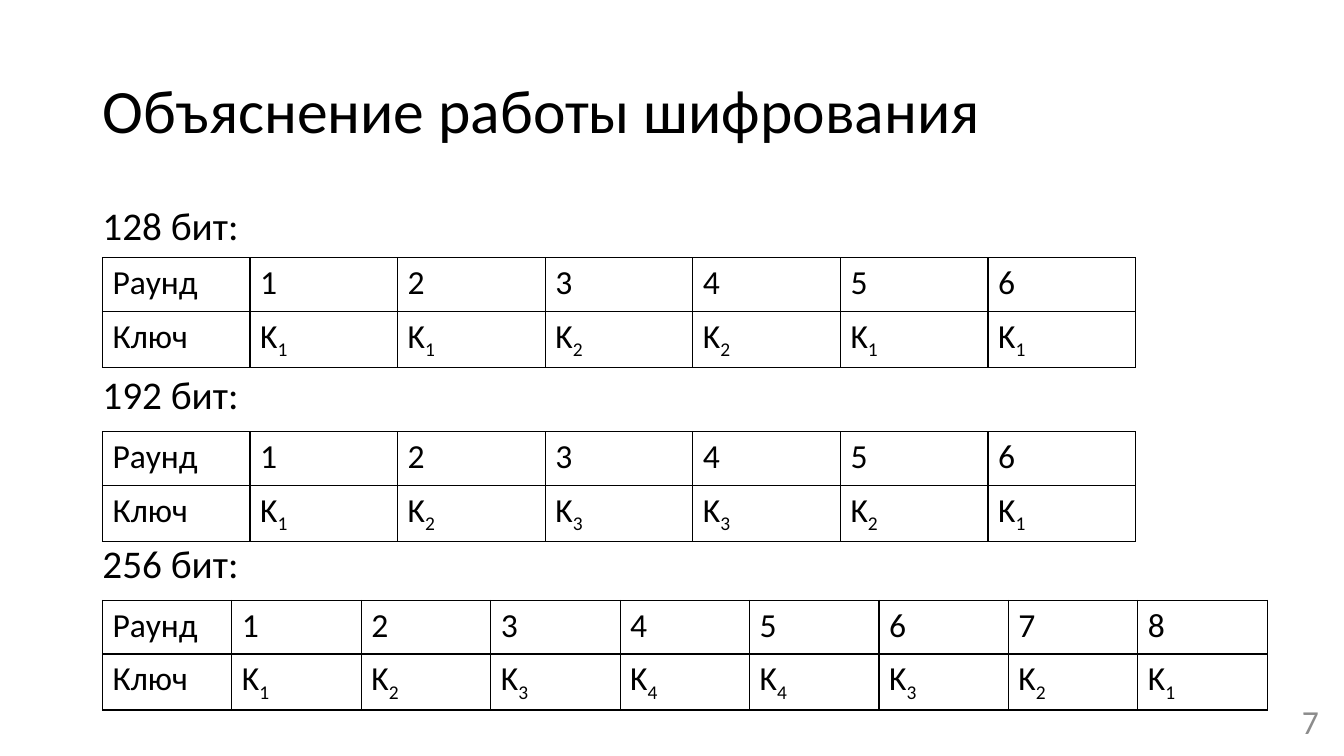
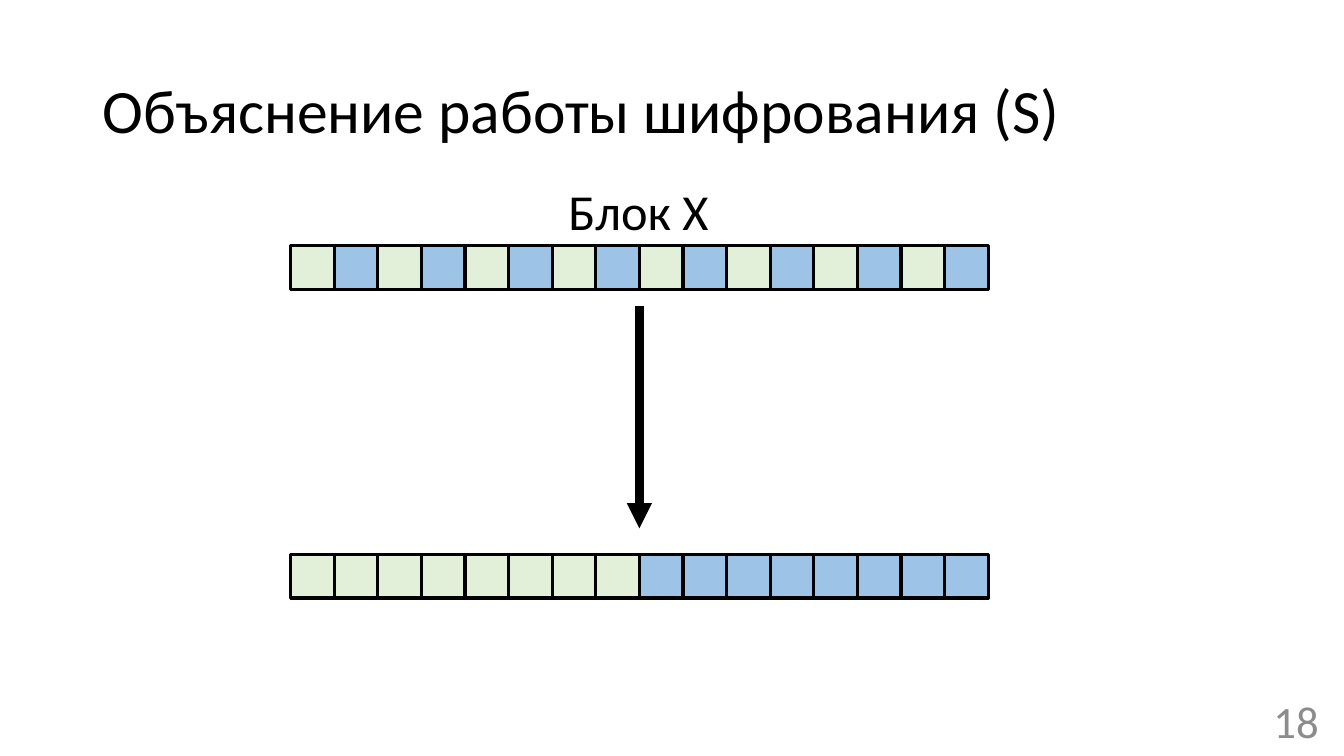
from lxml.etree import SubElement as Sub
from pptx import Presentation
from pptx.dml.color import RGBColor
from pptx.enum.shapes import MSO_CONNECTOR as CONN, MSO_SHAPE as SHAPE
from pptx.enum.text import MSO_ANCHOR as ANCHOR, MSO_AUTO_SIZE as AUTO, PP_ALIGN as ALIGN
from pptx.oxml.ns import qn
from pptx.util import Inches, Pt

BLACK = RGBColor(0x00, 0x00, 0x00)
GREY = RGBColor(0x8C, 0x8C, 0x8C)
GREEN = RGBColor(0xE2, 0xF0, 0xD9)
BLUE = RGBColor(0x9D, 0xC3, 0xE6)
FONT = "Calibri"

prs = Presentation()
prs.slide_width, prs.slide_height = Inches(13.333), Inches(7.5)
COL, ROW = prs.slide_width / 160, prs.slide_height / 90


def at(col, row, cols, rows):
    return int(col * COL), int(row * ROW), int(cols * COL), int(rows * ROW)


def add_run(p, text, size, color=BLACK):
    r = p.add_run()
    r.text = text
    r.font.name, r.font.size, r.font.color.rgb = FONT, Pt(size), color
    return r


PAGES = [
    (1, "Объяснение работы шифрования", "7", 24),
    (5, "Объяснение работы шифрования (S)", "18", 32),
]
slides = []
for layout, title, number, size in PAGES:
    s = prs.slides.add_slide(prs.slide_layouts[layout])
    sp = s.shapes.title
    sp.left, sp.top, sp.width, sp.height = at(11, 4.8, 138, 17.4)
    tf = sp.text_frame
    tf.auto_size, tf.vertical_anchor = AUTO.NONE, ANCHOR.MIDDLE
    p = tf.paragraphs[0]
    p.alignment, p.line_spacing = ALIGN.LEFT, 0.9
    add_run(p, title, 44)

    tf = s.shapes.add_textbox(*at(122.2, 83.4, 36, 4.8)).text_frame
    tf.word_wrap, tf.vertical_anchor = True, ANCHOR.MIDDLE
    p = tf.paragraphs[0]
    p.alignment = ALIGN.RIGHT
    add_run(p, number, size, GREY)
    slides.append(s)

keys_slide, block_slide = slides

KEY_TABLES = [
    ("128 бит:", "112211", 30.7, 123),
    ("192 бит:", "123321", 51.4, 123),
    ("256 бит:", "12344321", 71.5, 138.7),
]
sp = keys_slide.placeholders[1]
sp.left, sp.top, sp.width, sp.height = at(11, 24, 138, 57)
body = sp.text_frame
body.auto_size = AUTO.NONE
for i, (label, keys, top, width) in enumerate(KEY_TABLES):
    p = body.add_paragraph() if i else body.paragraphs[0]
    p.alignment, p.line_spacing = ALIGN.LEFT, 0.9
    p.space_before = Pt(90.5 if i else 10)
    pPr = p._p.get_or_add_pPr()
    pPr.set("marL", "0")
    pPr.set("indent", "0")
    Sub(pPr, qn("a:buNone"))
    add_run(p, label, 28)

    n = len(keys) + 1
    frame = keys_slide.shapes.add_table(2, n, *at(12.2, top, width, 12.7))
    table = frame.table
    table.first_row = table.horz_banding = False
    for column in table.columns:
        column.width = int(width * COL / n)
    rounds = ["Раунд"] + [str(k) for k in range(1, n)]
    for row, texts in enumerate([rounds, ["Ключ"] + list(keys)]):
        for col, text in enumerate(texts):
            cell = table.cell(row, col)
            p = cell.text_frame.paragraphs[0]
            if row and col:
                add_run(p, "K", 24)
                r = add_run(p, text, 24)
                r._r.get_or_add_rPr().set("baseline", "-25000")
            else:
                add_run(p, text, 24)
            tcPr = cell._tc.get_or_add_tcPr()
            for side in ("a:lnL", "a:lnR", "a:lnT", "a:lnB"):
                ln = Sub(tcPr, qn(side), w=str(Pt(1)))
                Sub(Sub(ln, qn("a:solidFill")), qn("a:srgbClr"), val=str(BLACK))
            cell.fill.background()

STRIPS = [
    (29.25, [GREEN, BLUE] * 8),
    (66, [GREEN] * 8 + [BLUE] * 8),
]
LEFT, SIDE = 34.6, 5.19
CENTRE = LEFT + 8 * SIDE
for top, colors in STRIPS:
    group = block_slide.shapes.add_group_shape()
    for i, color in enumerate(colors):
        sp = group.shapes.add_shape(SHAPE.RECTANGLE, *at(LEFT + i * SIDE, top, SIDE, SIDE))
        sp.shadow.inherit = False
        sp.fill.solid()
        sp.fill.fore_color.rgb = color
        sp.line.color.rgb, sp.line.width = BLACK, Pt(2.25)

tf = block_slide.shapes.add_textbox(*at(CENTRE - 9.65, 20.9, 19.3, 8.5)).text_frame
tf.word_wrap, tf.auto_size = False, AUTO.SHAPE_TO_FIT_TEXT
add_run(tf.paragraphs[0], "Блок X", 36)

arrow = block_slide.shapes.add_connector(
    CONN.STRAIGHT, *at(CENTRE, 36.4, CENTRE, 62.9))
arrow.line.color.rgb, arrow.line.width = BLACK, Pt(6)
Sub(arrow.line._get_or_add_ln(), qn("a:tailEnd"), type="triangle")
Sub(arrow._element.spPr, qn("a:effectLst"))

prs.save("out.pptx")
